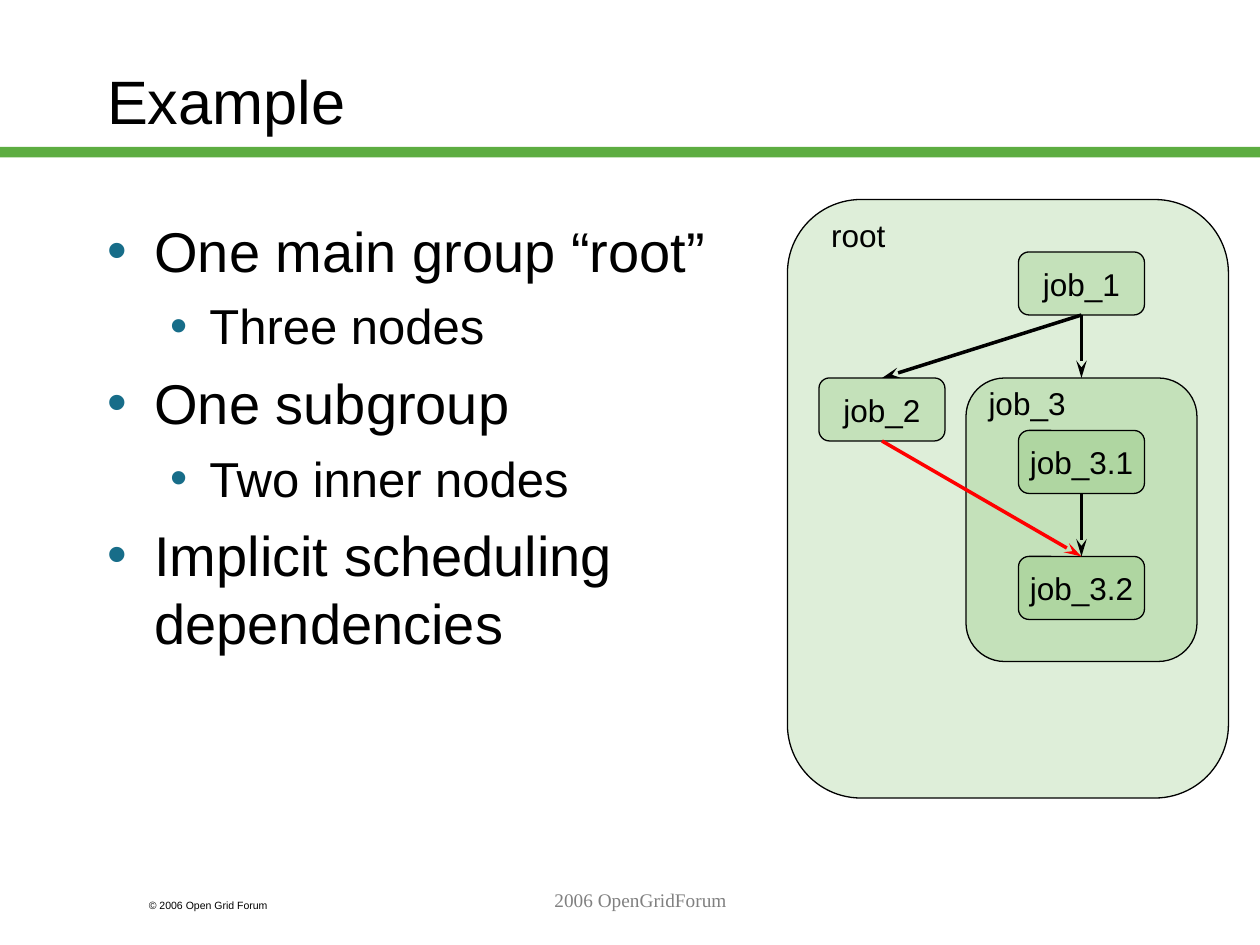
import pptx
import pptx.dml.color
import pptx.enum.shapes
import pptx.enum.text
import pptx.oxml.ns
import pptx.util
from lxml import etree

Pt = pptx.util.Pt
qn = pptx.oxml.ns.qn
MSO_SHAPE = pptx.enum.shapes.MSO_SHAPE
ALIGN = pptx.enum.text.PP_ALIGN
ANCHOR = pptx.enum.text.MSO_ANCHOR
AUTO_SIZE = pptx.enum.text.MSO_AUTO_SIZE

COLORS = {
    "green": "5DAD41",
    "bullet": "176D89",
    "black": "000000",
    "red": "FF0000",
    "gray": "808080",
}
BOTTOM, TOP = 2, 0
JOB_W, JOB_H = 72, 36
BULLETS = [
    (0, "One main group “root”"),
    (1, "Three nodes"),
    (0, "One subgroup"),
    (1, "Two inner nodes"),
    (0, "Implicit scheduling dependencies"),
]
# Size, space before, left margin and hanging indent of each list level
LEVELS = [(32, 8, 27, 27), (28, 7, 58.5, 22.5)]


def rgb(name):
    return pptx.dml.color.RGBColor.from_string(COLORS[name])


def place(sp, left, top, width, height):
    sp.left, sp.top, sp.width, sp.height = map(Pt, (left, top, width, height))


def write(p, text, size=18, font="Arial", color="black", align=ALIGN.LEFT):
    p.alignment = align
    r = p.add_run()
    r.text = text
    r.font.size = Pt(size)
    r.font.name = font
    r.font.color.rgb = rgb(color)


def add_label(slide, box, text, wrap=False, **fmt):
    sp = slide.shapes.add_textbox(*map(Pt, box))
    tf = sp.text_frame
    tf.word_wrap = wrap
    tf.auto_size = AUTO_SIZE.NONE if wrap else AUTO_SIZE.SHAPE_TO_FIT_TEXT
    write(tf.paragraphs[0], text, **fmt)


def add_group(slide, left, top, width, height):
    """Rounded box in see-through green, so that nested boxes grow darker."""
    sp = slide.shapes.add_shape(
        MSO_SHAPE.ROUNDED_RECTANGLE, *map(Pt, (left, top, width, height)))
    sp.shadow.inherit = False
    sp.fill.solid()
    sp.fill.fore_color.rgb = rgb("green")
    clr = sp.fill._xPr.find(qn("a:solidFill"))[0]
    etree.SubElement(clr, qn("a:alpha"), val="20000")
    sp.line.color.rgb = rgb("black")
    sp.line.width = Pt(0.75)
    return sp


def add_job(slide, left, top, text):
    sp = add_group(slide, left, top, JOB_W, JOB_H)
    tf = sp.text_frame
    tf.word_wrap = False
    tf.vertical_anchor = ANCHOR.MIDDLE
    write(tf.paragraphs[0], text, align=ALIGN.CENTER)
    return sp


def add_arrow(slide, source, target, color="black"):
    """Arrow from the bottom of one box to the top of another."""
    line = slide.shapes.add_connector(
        pptx.enum.shapes.MSO_CONNECTOR.STRAIGHT, 0, 0, 0, 0)
    line.begin_connect(source, BOTTOM)
    line.end_connect(target, TOP)
    line.line.color.rgb = rgb(color)
    line.line.width = Pt(2)
    etree.SubElement(line.line._get_or_add_ln(), qn("a:tailEnd"),
                     type="stealth", w="med", len="lg")
    etree.SubElement(line._element.spPr, qn("a:effectLst"))


def add_bar(slide):
    sp = slide.shapes.add_shape(
        MSO_SHAPE.RECTANGLE, Pt(0), Pt(84), Pt(720), Pt(6))
    sp.shadow.inherit = False
    sp.fill.solid()
    sp.fill.fore_color.rgb = rgb("green")
    sp.line.fill.background()


def fill_title(sp, text):
    place(sp, 54, 12, 612, 90)
    tf = sp.text_frame
    tf.auto_size = AUTO_SIZE.NONE
    tf.vertical_anchor = ANCHOR.MIDDLE
    write(tf.paragraphs[0], text, size=35)


def fill_list(sp, items):
    place(sp, 54, 120, 372, 324)
    tf = sp.text_frame
    tf.auto_size = AUTO_SIZE.NONE
    for i, (level, text) in enumerate(items):
        size, before, margin, hang = LEVELS[level]
        p = tf.add_paragraph() if i else tf.paragraphs[0]
        p.level = level
        pPr = p._p.get_or_add_pPr()
        pPr.set("marL", str(Pt(margin)))
        pPr.set("indent", str(-Pt(hang)))
        clr = etree.SubElement(pPr, qn("a:buClr"))
        etree.SubElement(clr, qn("a:srgbClr"), val=COLORS["bullet"])
        etree.SubElement(pPr, qn("a:buFont"), typeface="Arial")
        etree.SubElement(pPr, qn("a:buChar"), char="•")
        p.space_before = Pt(before if i else 0)
        write(p, text, size=size)


def add_diagram(slide):
    # Groups and jobs
    add_group(slide, 450, 114, 252, 342)
    add_label(slide, (467, 120, 46, 28.8), "root", align=ALIGN.RIGHT)
    job_1 = add_job(slide, 582, 144, "job_1")
    job_2 = add_job(slide, 468, 216, "job_2")
    job_3 = add_group(slide, 552, 216, 132, 162)
    add_label(slide, (556, 216, 60, 28.8), "job_3", align=ALIGN.RIGHT)
    job_31 = add_job(slide, 582, 246, "job_3.1")
    job_32 = add_job(slide, 582, 318, "job_3.2")

    # Dependencies
    add_arrow(slide, job_1, job_2)
    add_arrow(slide, job_1, job_3)
    add_arrow(slide, job_31, job_32)
    add_arrow(slide, job_2, job_32, color="red")


def main():
    prs = pptx.Presentation()
    prs.slide_width, prs.slide_height = Pt(720), Pt(540)
    slide = prs.slides.add_slide(prs.slide_layouts[1])

    # Heading and list
    add_bar(slide)
    fill_title(slide.shapes.title, "Example")
    fill_list(slide.placeholders[1], BULLETS)

    add_diagram(slide)

    # Footer
    add_label(slide, (78, 510, 108, 14.4), "© 2006 Open Grid Forum",
              wrap=True, size=6)
    add_label(slide, (156, 504, 420, 36), "2006 OpenGridForum", wrap=True,
              size=11, font="Times New Roman", color="gray", align=ALIGN.CENTER)

    prs.save("out.pptx")


if __name__ == "__main__":
    main()
